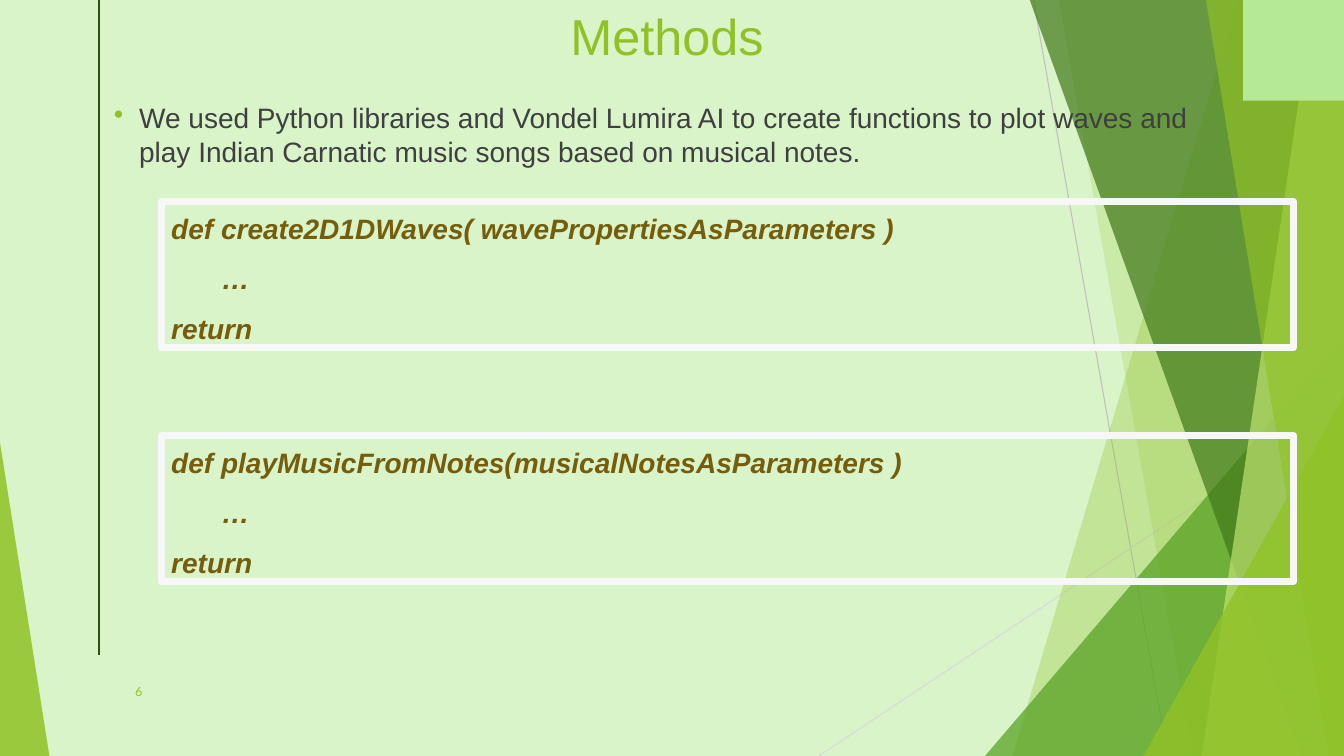
from dataclasses import dataclass

import pptx
import pptx.dml.color
import pptx.enum.shapes
import pptx.enum.text
import pptx.oxml.ns
import pptx.oxml.xmlchemy
import pptx.util

EMU_PER_PX = 9144  # 100 px to the inch
WIDTH, HEIGHT = 1333, 750
ALIGN = pptx.enum.text.PP_ALIGN
ANCHOR = pptx.enum.text.MSO_ANCHOR
SHAPE = pptx.enum.shapes.MSO_SHAPE


@dataclass(frozen=True)
class Theme:
    background: str = "D9F4C9"
    lime: str = "90C226"
    pale_lime: str = "BFE471"
    green: str = "54A021"
    forest: str = "3F7818"
    margin_rule: str = "2A5010"
    corner: str = "B6E995"
    ray: str = "BFBFBF"
    pale_ray: str = "D8D8D8"
    frame: str = "F7F7F7"
    body: str = "3F3F3F"
    code: str = "755D0C"
    font: str = "Arial"
    number_font: str = "Lato"
    title_size: int = 36
    body_size: int = 20
    number_size: int = 9


@dataclass(frozen=True)
class Box:
    left: int
    top: int
    width: int
    height: int


@dataclass(frozen=True)
class Facet:
    """A sliver between a slanted left edge and the right side of the slide."""
    top_x: int
    bottom_x: int
    colour: str
    opacity: int


@dataclass(frozen=True)
class Wedge:
    box: Box
    apex: int
    colour: str
    opacity: int


@dataclass(frozen=True)
class Rule:
    start: tuple[int, int]
    end: tuple[int, int]
    colour: str
    weight: float


@dataclass(frozen=True)
class CodeFrame:
    top: int
    signature: str


THEME = Theme()

RAYS = [
    Rule((1025, 0), (1158, HEIGHT), THEME.ray, 0.75),
    Rule((WIDTH, 403), (812, HEIGHT), THEME.pale_ray, 0.75),
]
MARGIN_RULE = Rule((98, 0), (98, 650), THEME.margin_rule, 1.5)

BACKDROP = [
    Facet(1228, 1004, THEME.lime, 30),
    Facet(1050, 1183, THEME.lime, 20),
    Wedge(Box(977, 333, 356, 417), 1, THEME.green, 72),
    Facet(1021, 1291, THEME.forest, 70),
    Facet(1303, 1192, THEME.pale_lime, 70),
    Facet(1196, 1318, THEME.lime, 65),
    Wedge(Box(1134, 393, 199, 357), 1, THEME.lime, 80),
    Wedge(Box(0, 439, 49, 311), 0, THEME.lime, 85),
]

CODE_FRAMES = [
    CodeFrame(200, "def create2D1DWaves( wavePropertiesAsParameters )"),
    CodeFrame(432, "def playMusicFromNotes(musicalNotesAsParameters )"),
]


def px(length: int) -> pptx.util.Emu:
    return pptx.util.Emu(length * EMU_PER_PX)


def rgb(colour: str) -> pptx.dml.color.RGBColor:
    return pptx.dml.color.RGBColor.from_string(colour)


def place(box: Box) -> list[pptx.util.Emu]:
    return [px(side) for side in (box.left, box.top, box.width, box.height)]


def element(tag: str, **attributes: str):
    made = pptx.oxml.xmlchemy.OxmlElement(tag)
    for name, value in attributes.items():
        made.set(name, value)
    return made


def paint(shape, colour: str, opacity: int = 100) -> None:
    shape.shadow.inherit = False
    shape.line.fill.background()
    shape.fill.solid()
    shape.fill.fore_color.rgb = rgb(colour)
    if opacity < 100:
        tint = shape._element.spPr.find(".//" + pptx.oxml.ns.qn("a:srgbClr"))
        tint.append(element("a:alpha", val=str(opacity * 1000)))


def draw_rule(slide, rule: Rule) -> None:
    line = slide.shapes.add_connector(
        pptx.enum.shapes.MSO_CONNECTOR.STRAIGHT,
        *[px(coordinate) for coordinate in rule.start + rule.end])
    line.line.color.rgb = rgb(rule.colour)
    line.line.width = pptx.util.Pt(rule.weight)
    line._element.spPr.append(element("a:effectLst"))


def draw_facet(slide, facet: Facet) -> None:
    outline = slide.shapes.build_freeform(facet.top_x, -1, scale=EMU_PER_PX)
    outline.add_line_segments(
        [(WIDTH, -1), (WIDTH, HEIGHT), (facet.bottom_x, HEIGHT)], close=True)
    paint(outline.convert_to_shape(), facet.colour, facet.opacity)


def draw_wedge(slide, wedge: Wedge) -> None:
    triangle = slide.shapes.add_shape(SHAPE.ISOSCELES_TRIANGLE, *place(wedge.box))
    triangle.adjustments[0] = wedge.apex
    paint(triangle, wedge.colour, wedge.opacity)


def add_bullet(paragraph, colour: str, indent: int) -> None:
    properties = paragraph._p.get_or_add_pPr()
    properties.set("marL", str(int(px(indent))))
    properties.set("indent", str(int(px(-indent))))
    bullet_colour = element("a:buClr")
    bullet_colour.append(element("a:srgbClr", val=colour))
    properties.extend([bullet_colour, element("a:buChar", char="•")])


def write(shape, lines: list[str], *, size: int, colour: str, font: str = THEME.font,
          align=ALIGN.LEFT, anchor=ANCHOR.TOP, emphasis: bool = False,
          insets: tuple[int, int, int, int] = (10, 5, 10, 5),
          spacing: float = 1.0, gap: int = 0, bullet: bool = False) -> None:
    frame = shape.text_frame
    frame.word_wrap = True
    frame.vertical_anchor = anchor
    (frame.margin_left, frame.margin_top,
     frame.margin_right, frame.margin_bottom) = [px(inset) for inset in insets]
    for index, line in enumerate(lines):
        paragraph = frame.add_paragraph() if index else frame.paragraphs[0]
        if bullet:
            add_bullet(paragraph, THEME.lime, 25)
        paragraph.alignment = align
        paragraph.line_spacing = spacing
        if index:
            paragraph.space_before = pptx.util.Pt(gap)
        run = paragraph.add_run()
        run.text = line
        run.font.name = font
        run.font.size = pptx.util.Pt(size)
        run.font.color.rgb = rgb(colour)
        run.font.bold = run.font.italic = emphasis


def draw_code(slide, code: CodeFrame) -> None:
    border = slide.shapes.add_shape(SHAPE.RECTANGLE, *place(Box(160, code.top, 1123, 145)))
    border.shadow.inherit = False
    border.fill.background()
    border.line.color.rgb = rgb(THEME.frame)
    border.line.width = pptx.util.Pt(5)
    write(border, [code.signature, "\t…", "return "], size=THEME.body_size,
          colour=THEME.code, align=ALIGN.JUSTIFY, emphasis=True, spacing=1.15, gap=8)
    border.text_frame.auto_size = pptx.enum.text.MSO_AUTO_SIZE.SHAPE_TO_FIT_TEXT


def main() -> None:
    deck = pptx.Presentation()
    deck.slide_width, deck.slide_height = px(WIDTH), px(HEIGHT)
    slide = deck.slides.add_slide(deck.slide_layouts[6])
    slide.background.fill.solid()
    slide.background.fill.fore_color.rgb = rgb(THEME.background)

    # Faceted backdrop
    for ray in RAYS:
        draw_rule(slide, ray)
    for part in BACKDROP:
        (draw_facet if isinstance(part, Facet) else draw_wedge)(slide, part)
    draw_rule(slide, MARGIN_RULE)
    corner = slide.shapes.add_shape(SHAPE.RECTANGLE, *place(Box(1233, 0, 100, 100)))
    paint(corner, THEME.corner)

    # Title, statement and slide number
    title = slide.shapes.add_textbox(*place(Box(0, 0, WIDTH, 100)))
    write(title, ["Methods"], size=THEME.title_size, colour=THEME.lime,
          align=ALIGN.CENTER, insets=(0, 5, 10, 5))
    statement = slide.shapes.add_textbox(*place(Box(113, 100, 1123, 122)))
    write(statement, ["We used Python libraries and Vondel Lumira AI to create functions to "
                      "plot waves and play Indian Carnatic music songs based on musical notes."],
          size=THEME.body_size, colour=THEME.body, insets=(0, 0, 0, 0), bullet=True)
    number = slide.shapes.add_textbox(*place(Box(45, 650, 106, 71)))
    write(number, ["6"], size=THEME.number_size, colour=THEME.lime,
          font=THEME.number_font, align=ALIGN.RIGHT, anchor=ANCHOR.MIDDLE)

    # Function outlines
    for code in CODE_FRAMES:
        draw_code(slide, code)

    deck.save("out.pptx")


if __name__ == "__main__":
    main()
